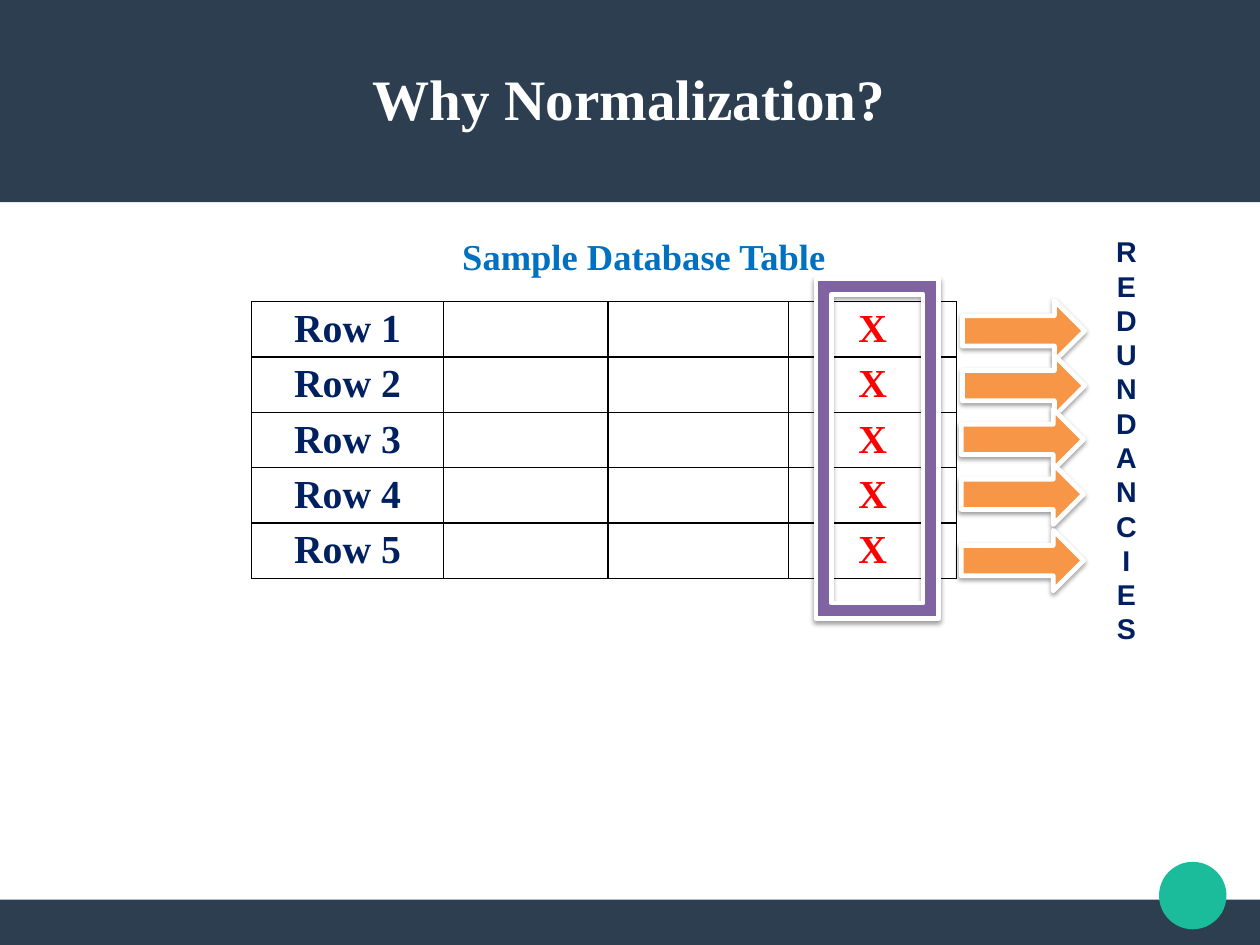
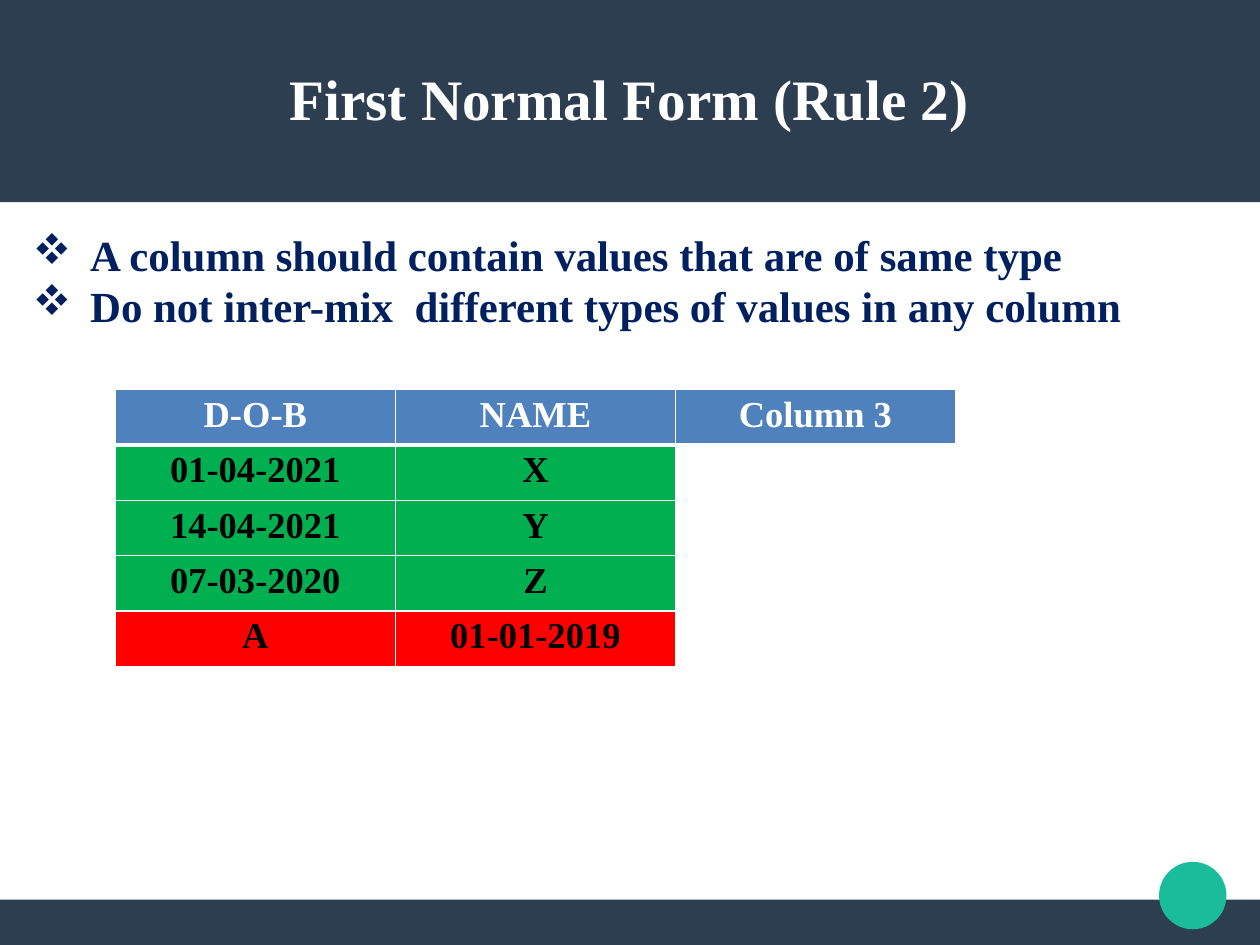
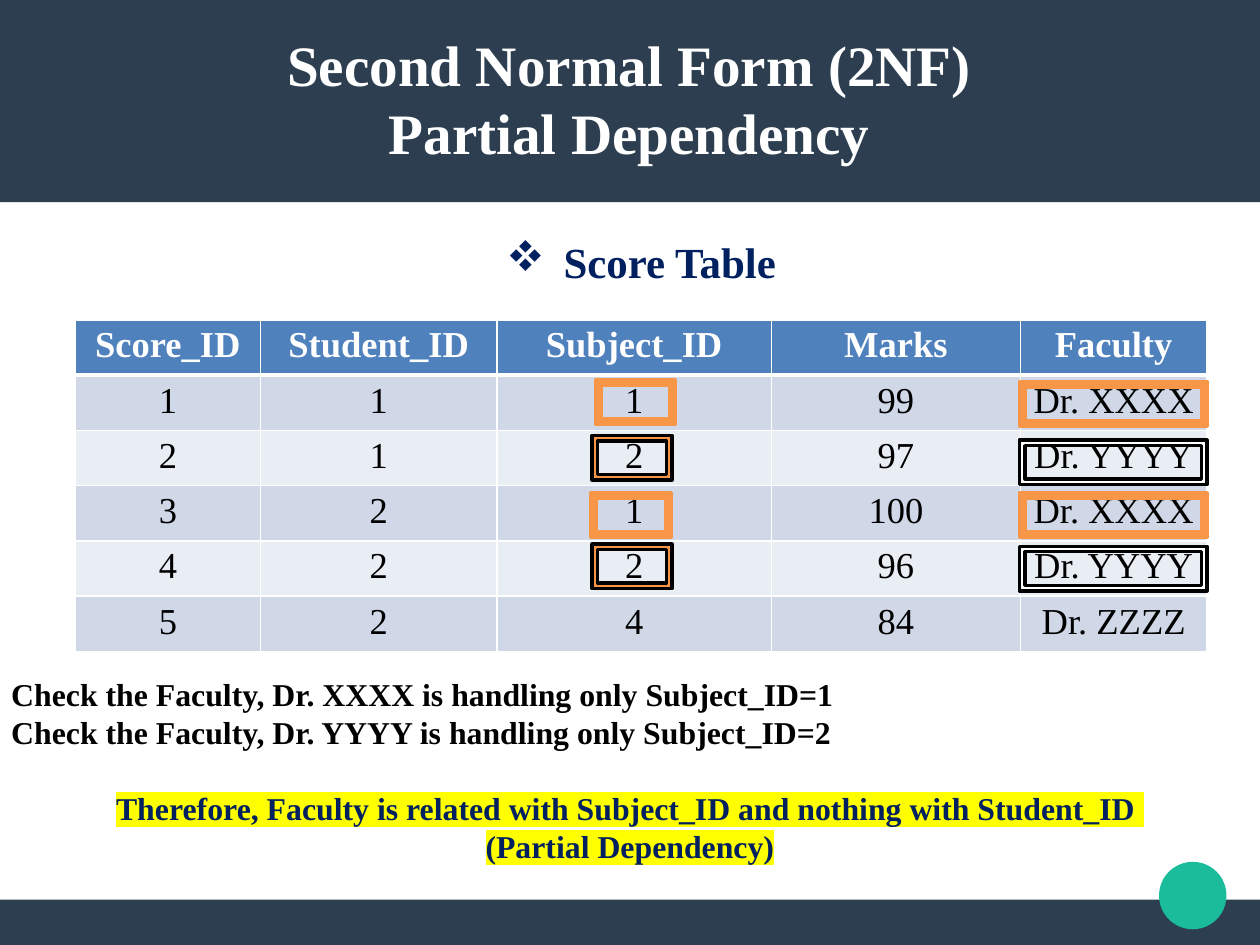
"""Build three slides on database normalization."""
from dataclasses import dataclass
from typing import Callable, Optional, Sequence

from lxml.etree import SubElement
from pptx import Presentation
from pptx.dml.color import RGBColor
from pptx.enum.shapes import MSO_SHAPE as Kind
from pptx.enum.text import MSO_ANCHOR as Anchor, PP_ALIGN as Align
from pptx.oxml import parse_xml
from pptx.oxml.ns import nsdecls, qn
from pptx.util import Inches, Pt

SERIF, SANS = "Times New Roman", "Arial"
WHITE, BLACK, NAVY, RED = "FFFFFF", "000000", "002060", "FF0000"
SLATE, TEAL, BLUE, SKY = "2C3E50", "1ABC9C", "4F81BD", "0070C0"
ORANGE, PURPLE, GREEN, YELLOW = "F79646", "8064A2", "00B050", "FFFF00"
BANDS = ("D0D8E8", "E9EDF4")
WIDE, HIGH = 28 / 2.54, 21 / 2.54


@dataclass(frozen=True)
class Spot:
    """Place and size in inches."""
    left: float
    top: float
    width: float
    height: float

    def lengths(self) -> list:
        """Give the four values as lengths."""
        return [Inches(n) for n in (self.left, self.top, self.width, self.height)]


@dataclass(frozen=True)
class Mark:
    """A preset shape and its colours."""
    kind: Kind
    spot: Spot
    fill: str
    line: Optional[str] = None
    weight: float = 2
    shadow: bool = False


@dataclass(frozen=True)
class Look:
    """Fill and text format of a table cell."""
    fill: Optional[str]
    color: str
    bold: bool = True


def tint(code: str) -> RGBColor:
    """Turn a hex string into a colour."""
    return RGBColor.from_string(code)


def write(frame, lines: Sequence[str], *, size: float, color: str, font: str = SERIF,
          bold: bool = True, align: Align = Align.CENTER, lead: float = 1.2,
          bullet: bool = False, gap: float = 0, glow: str = "") -> None:
    """Add one formatted paragraph for each line."""
    for index, line in enumerate(lines):
        para = frame.add_paragraph() if frame.text else frame.paragraphs[0]
        if bullet:
            props = para._p.get_or_add_pPr()
            props.set("marL", str(Inches(0.5)))
            props.set("indent", str(-Inches(0.5)))
            face = SubElement(props, qn("a:buFont"))
            face.set("typeface", "Wingdings")
            face.set("charset", "2")
            SubElement(props, qn("a:buChar")).set("char", "v")
        para.alignment = align
        para.line_spacing = Pt(size * lead)
        if gap and index == 0:
            para.space_before = Pt(gap)
        run = para.add_run()
        run.text = line
        run.font.size, run.font.bold, run.font.name = Pt(size), bold, font
        run.font.color.rgb = tint(color)
        if glow:
            run._r.rPr.find(qn("a:solidFill")).addnext(parse_xml(
                f'<a:highlight {nsdecls("a")}><a:srgbClr val="{glow}"/></a:highlight>'))


def add_box(slide, spot: Spot):
    """Add a wrapping text box and return its frame."""
    frame = slide.shapes.add_textbox(*spot.lengths()).text_frame
    frame.word_wrap = True
    return frame


def draw(slide, mark: Mark):
    """Draw a preset shape."""
    shape = slide.shapes.add_shape(mark.kind, *mark.spot.lengths())
    shape.fill.solid()
    shape.fill.fore_color.rgb = tint(mark.fill)
    if mark.line:
        shape.line.color.rgb = tint(mark.line)
        shape.line.width = Pt(mark.weight)
    else:
        shape.line.fill.background()
    shape.shadow.inherit = False
    if mark.shadow:
        shape.element.spPr.find(qn("a:effectLst")).append(parse_xml(
            f'<a:outerShdw {nsdecls("a")} blurRad="{Pt(3.1)}" dist="{Pt(1.6)}" '
            'dir="5400000" rotWithShape="0"><a:srgbClr val="000000">'
            '<a:alpha val="38000"/></a:srgbClr></a:outerShdw>'))
    return shape


def edge(cell, color: str, top: float, base: float) -> None:
    """Set the four borders of a cell."""
    props = cell._tc.get_or_add_tcPr()
    for index, (side, weight) in enumerate(zip("LRTB", (1, 1, top, base))):
        props.insert(index, parse_xml(
            f'<a:ln{side} {nsdecls("a")} w="{Pt(weight)}"><a:solidFill>'
            f'<a:srgbClr val="{color}"/></a:solidFill></a:ln{side}>'))


def add_grid(slide, spot: Spot, widths: Sequence[float], rows: Sequence[Sequence[str]],
             look: Callable[[int, int], Look], *, size: float = 23,
             border: str = WHITE, rule: float = 3) -> None:
    """Add a table with equal rows and a rule under the first."""
    table = slide.shapes.add_table(len(rows), len(widths), *spot.lengths()).table
    table.first_row = rule > 1
    table.horz_banding = False
    for column, width in zip(table.columns, widths):
        column.width = Inches(width)
    for r, row in enumerate(rows):
        table.rows[r].height = Inches(spot.height / len(rows))
        for c, text in enumerate(row):
            cell, style = table.cell(r, c), look(r, c)
            if style.fill:
                cell.fill.solid()
                cell.fill.fore_color.rgb = tint(style.fill)
            else:
                cell.fill.background()
            edge(cell, border, rule if r == 1 else 1, rule if r == 0 else 1)
            if text:
                write(cell.text_frame, [text], size=size, lead=1.1,
                      color=style.color, bold=style.bold)


def clear_base(deck):
    """Return the blank layout without its placeholders."""
    layout = deck.slide_layouts[6]
    for holder in list(layout.placeholders):
        holder.element.getparent().remove(holder.element)
    return layout


def add_base(slide, layout) -> None:
    """Move the shared shapes from a slide to its layout."""
    for mark in (Mark(Kind.RECTANGLE, Spot(0, 7.87, WIDE, HIGH - 7.87), SLATE),
                 Mark(Kind.RECTANGLE, Spot(0, 0, WIDE, 1.77), SLATE),
                 Mark(Kind.OVAL, Spot(10.14, 7.54, 0.59, 0.59), TEAL)):
        layout.shapes.element.append(draw(slide, mark).element)


def add_page(deck, layout, *title: str):
    """Add a slide with its title."""
    slide = deck.slides.add_slide(layout)
    frame = add_box(slide, Spot(0.39, 0.33, 10.23, 1.05))
    frame.margin_left = frame.margin_right = frame.margin_top = frame.margin_bottom = 0
    frame.vertical_anchor = Anchor.MIDDLE
    write(frame, title, size=36, color=WHITE)
    return slide


def show_why(slide) -> None:
    """Show the sample table and its repeated values."""
    add_grid(slide, Spot(2.2, 2.64, 6.17, 2.42), (1.68, 1.44, 1.58, 1.47),
             [(f"Row {n}", "", "", "X") for n in range(1, 6)],
             lambda r, c: Look(None, RED if c == 3 else NAVY),
             size=25, border=BLACK, rule=1)
    write(add_box(slide, Spot(3.89, 2, 3.49, 0.49)), ["Sample Database Table"],
          size=23, color=SKY)
    for left, top in ((8.42, 2.63), (8.42, 3.11), (8.41, 3.58), (8.41, 4.06), (8.41, 4.64)):
        draw(slide, Mark(Kind.RIGHT_ARROW, Spot(left, top, 1.07, 0.53), ORANGE, WHITE, 3, True))
    draw(slide, Mark(Kind.FRAME, Spot(7.14, 2.44, 1.07, 2.97), PURPLE, WHITE, 3, True))
    write(add_box(slide, Spot(9.48, 2, 0.75, 3.74)), "REDUNDANCIES",
          size=18, color=NAVY, font=SANS)


def show_first(slide) -> None:
    """Show the rule on types of values."""
    def look(r: int, c: int) -> Look:
        """Pick the header, good or bad style."""
        if r == 0:
            return Look(BLUE, WHITE)
        return Look(None if c == 2 else RED if r == 4 else GREEN, BLACK)

    write(add_box(slide, Spot(0.19, 1.95, 10.44, 1.46)),
          ["A column should contain values that are of same type",
           "Do not inter-mix  different types of values in any column"],
          size=27, color=NAVY, align=Align.JUSTIFY, bullet=True)
    add_grid(slide, Spot(1.01, 3.41, 7.35, 2.42), [2.45] * 3,
             [("D-O-B", "NAME", "Column 3"), ("01-04-2021", "X", ""),
              ("14-04-2021", "Y", ""), ("07-03-2020", "Z", ""),
              ("A", "01-01-2019", "")], look)


def show_second(slide) -> None:
    """Show the score table and its partial dependency."""
    write(add_box(slide, Spot(0.39, 2.01, 10.44, 0.56)), ["Score Table"],
          size=27, color=NAVY, bullet=True)
    add_grid(slide, Spot(0.66, 2.8, 9.9, 2.9), (1.62, 2.07, 2.4, 2.18, 1.63),
             [("Score_ID", "Student_ID", "Subject_ID", "Marks", "Faculty"),
              ("1", "1", "1", "99", "Dr. XXXX"), ("2", "1", "2", "97", "Dr. YYYY"),
              ("3", "2", "1", "100", "Dr. XXXX"), ("4", "2", "2", "96", "Dr. YYYY"),
              ("5", "2", "4", "84", "Dr. ZZZZ")],
             lambda r, c: Look(BANDS[(r - 1) % 2], BLACK, False) if r else Look(BLUE, WHITE))
    notes = add_box(slide, Spot(0, 5.85, WIDE, 1.78))
    write(notes, ["Check the Faculty, Dr. XXXX is handling only Subject_ID=1",
                  "Check the Faculty, Dr. YYYY is handling only Subject_ID=2"],
          size=20, color=BLACK, align=Align.LEFT)
    write(notes, ["Therefore, Faculty is related with Subject_ID and nothing with Student_ID ",
                  "(Partial Dependency)"], size=20, color=NAVY, gap=24, glow=YELLOW)
    for left, top, side, fill, line in (
            (5.21, 3.32, 3.34, ORANGE, ORANGE), (5.18, 3.81, 3.85, WHITE, BLACK),
            (5.17, 4.31, 4.31, ORANGE, ORANGE), (5.18, 4.76, 4.78, WHITE, BLACK)):
        draw(slide, Mark(Kind.FRAME, Spot(left, top, 0.7, 0.39), ORANGE, line))
        draw(slide, Mark(Kind.FRAME, Spot(8.92, side, 1.64, 0.39), fill, line))


def main() -> None:
    """Build and save the deck."""
    deck = Presentation()
    deck.slide_width, deck.slide_height = Inches(WIDE), Inches(HIGH)
    layout = clear_base(deck)
    why = add_page(deck, layout, "Why Normalization?")
    add_base(why, layout)
    show_why(why)
    show_first(add_page(deck, layout, "First Normal Form (Rule 2)"))
    show_second(add_page(deck, layout, "Second Normal Form (2NF)", "Partial Dependency"))
    deck.save("out.pptx")


if __name__ == "__main__":
    main()
